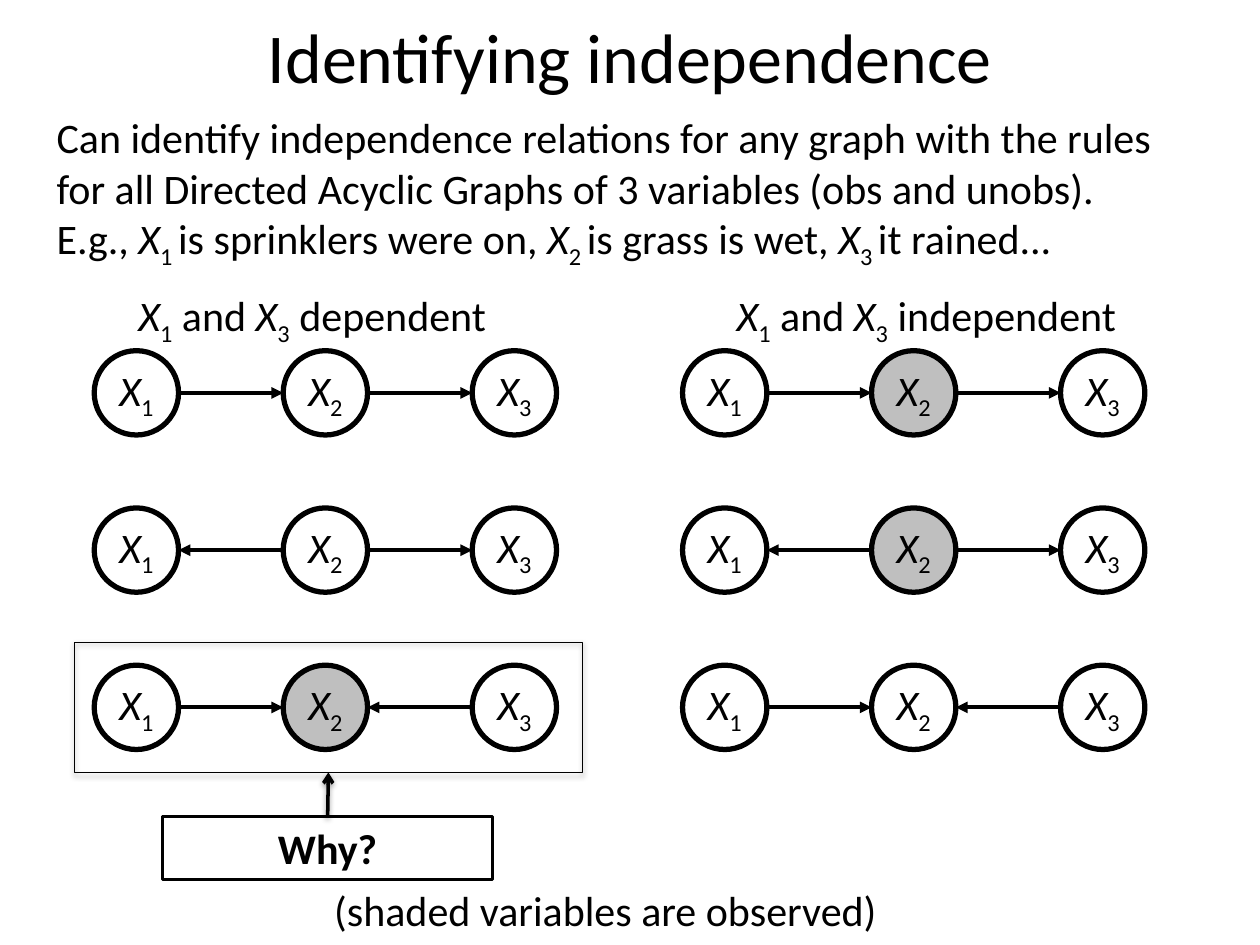
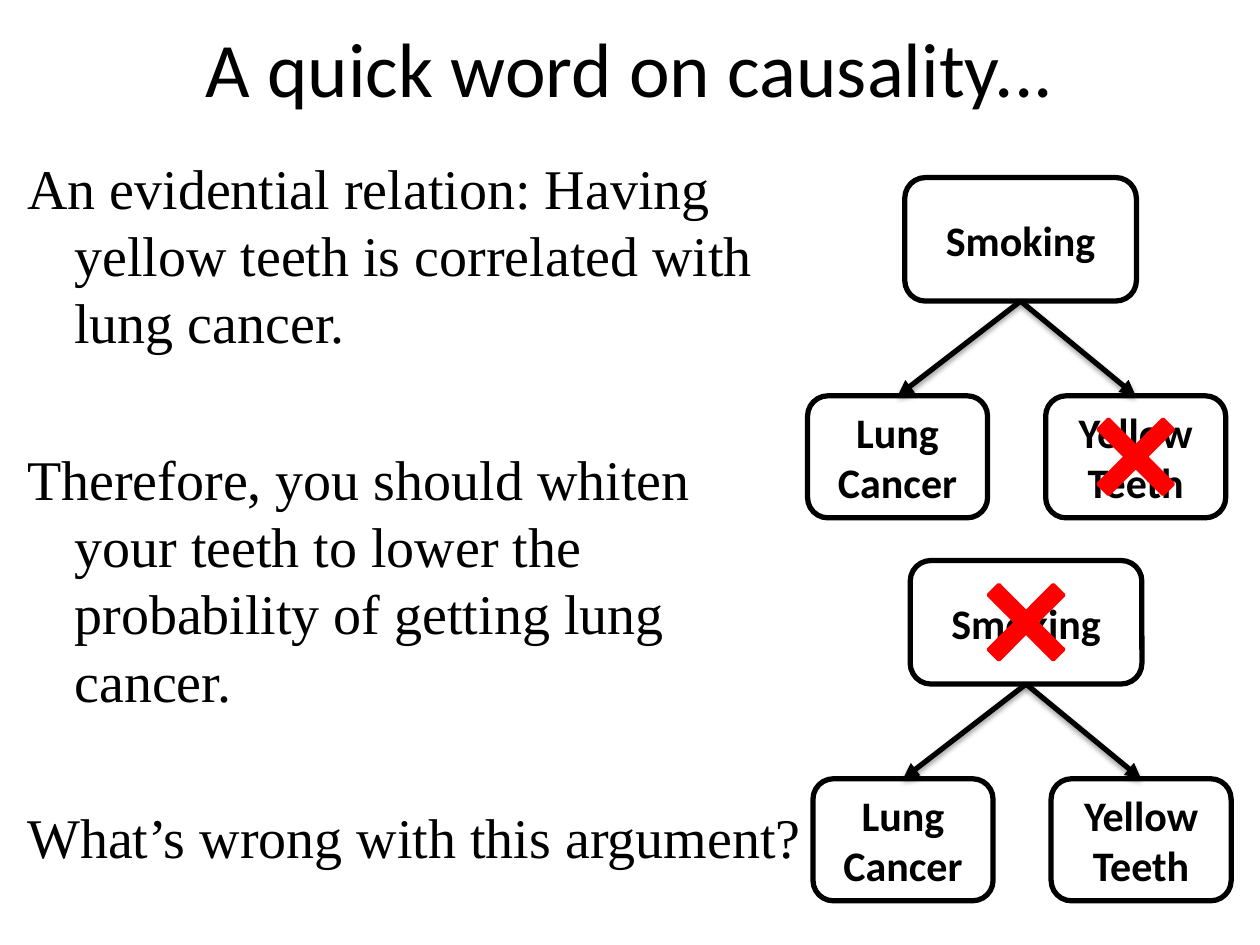
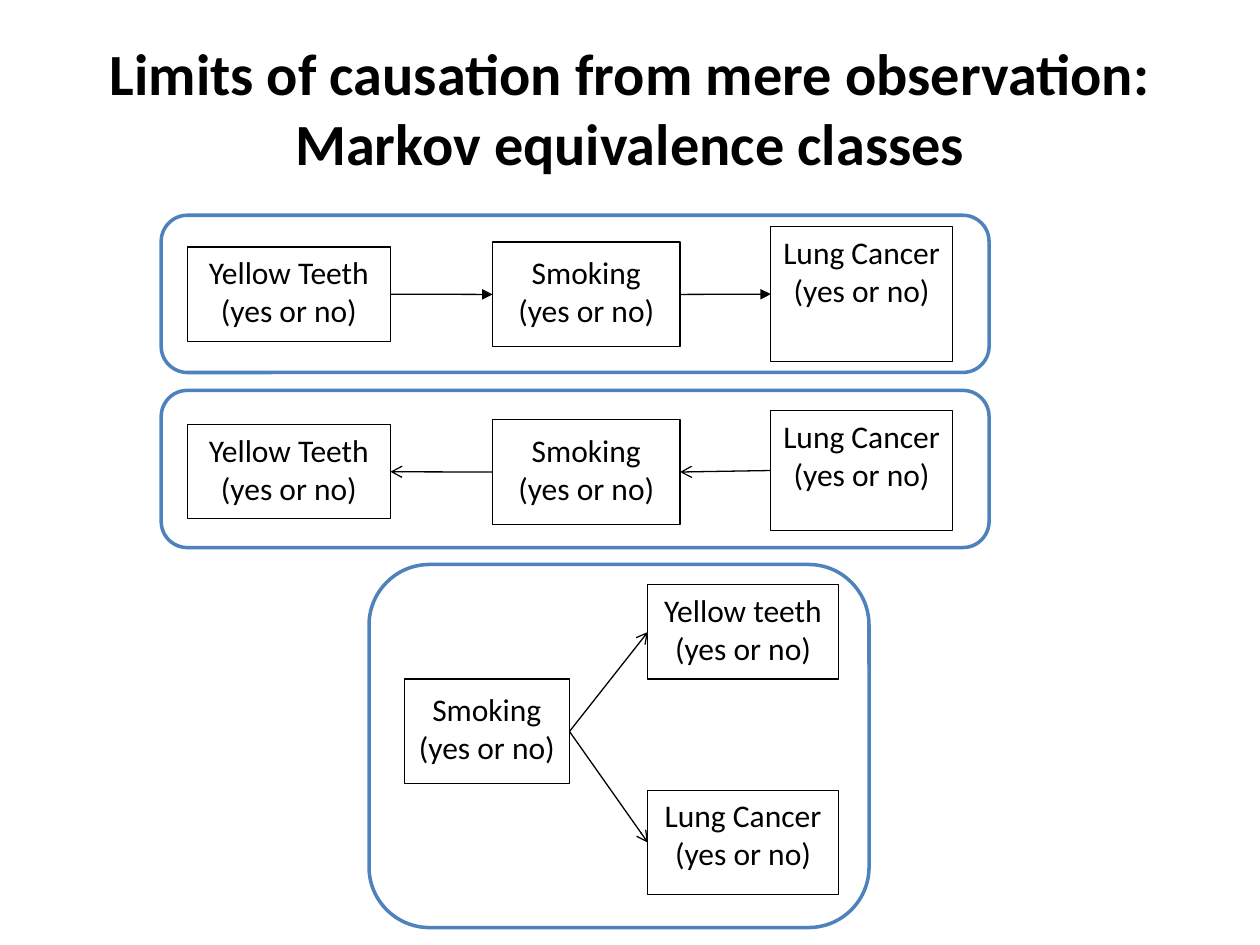
from itertools import cycle

from lxml import etree
from pptx import Presentation
from pptx import util as u
from pptx.dml.color import RGBColor
from pptx.enum import shapes, text
from pptx.oxml.ns import qn

BLACK = RGBColor(0x00, 0x00, 0x00)
WHITE = RGBColor(0xFF, 0xFF, 0xFF)
GREY = RGBColor(0xBF, 0xBF, 0xBF)
RED = RGBColor(0xFF, 0x00, 0x00)
BLUE = RGBColor(0x4F, 0x81, 0xBD)
SANS, SERIF = "Calibri", "Times New Roman"
CENTER, LEFT = text.PP_ALIGN.CENTER, text.PP_ALIGN.LEFT
TOP, MIDDLE = text.MSO_ANCHOR.TOP, text.MSO_ANCHOR.MIDDLE
KIND = shapes.MSO_SHAPE
TOP_SIDE, LEFT_SIDE, BOTTOM_SIDE, RIGHT_SIDE = range(4)

# Bars separate plain, italic and subscript pieces in turn.
INTRO = [
    "Can identify independence relations for any graph with the rules "
    "for all Directed Acyclic Graphs of 3 variables (obs and unobs).",
    "E.g., |X|1 |is sprinklers were on, |X|2 |is grass is wet, |X|3 |it rained...",
]
GRAPH_COLUMNS = [
    {"left": 1.9, "label": "|X|1| and |X|3| dependent", "label_left": 2.54, "observed": [2]},
    {"left": 13.76, "label": "|X|1| and |X|3| independent", "label_left": 14.6, "observed": [0, 1]},
]
GRAPH_ROWS = [
    [(0, 1), (1, 2)],
    [(1, 0), (1, 2)],
    [(0, 1), (2, 1)],
]
GRAPH_TOP, NODE_SIZE, NODE_PITCH, ROW_PITCH = 7.07, 1.7, 3.81, 3.17

ARGUMENT = [
    "An evidential relation: Having yellow teeth is correlated with lung cancer.",
    "Therefore, you should whiten your teeth to lower the probability of getting lung cancer.",
    "What’s wrong with this argument?",
]
CAUSE_TREE = {
    "Smoking": (18.24, 3.58, 4.67, 2.49),
    "Lung Cancer": (16.28, 7.98, 3.63, 2.46),
    "Yellow Teeth": (21.08, 7.98, 3.63, 2.46),
}
CROSSED_TREES = [("Yellow Teeth", 0, 0), ("Smoking", 0.11, 7.72)]
CROSS_SIZE = 1.85

CLASSES = [
    {
        "frame": (3.25, 4.34, 16.69, 3.17),
        "boxes": {
            "Yellow Teeth": (3.78, 4.98, 4.09, 1.9),
            "Smoking": (9.93, 4.88, 3.78, 2.11),
            "Lung Cancer": (15.54, 4.57, 3.66, 2.72),
        },
        "arrows": [("Yellow Teeth", "Smoking"), ("Smoking", "Lung Cancer")],
        "head": "triangle",
    },
    {
        "frame": (3.25, 7.87, 16.69, 3.17),
        "boxes": {
            "Yellow Teeth": (3.78, 8.56, 4.09, 1.9),
            "Smoking": (9.93, 8.46, 3.78, 2.11),
            "Lung Cancer": (15.54, 8.28, 3.66, 2.41),
        },
        "arrows": [("Lung Cancer", "Smoking"), ("Smoking", "Yellow Teeth")],
        "head": "arrow",
    },
    {
        "frame": (7.44, 11.38, 10.08, 7.32),
        "boxes": {
            "Yellow teeth": (13.06, 11.79, 3.84, 1.9),
            "Smoking": (8.15, 13.69, 3.33, 2.11),
            "Lung Cancer": (13.06, 15.93, 3.84, 2.11),
        },
        "arrows": [("Smoking", "Yellow teeth"), ("Smoking", "Lung Cancer")],
        "head": "arrow",
    },
]


def lengths(values):
    return [u.Cm(value) for value in values]


def write(shape, lines, size, bold=False, name=SANS, align=CENTER, anchor=TOP, wrap=True):
    frame = shape.text_frame
    frame.word_wrap = wrap
    frame.vertical_anchor = anchor
    for index, line in enumerate(lines):
        paragraph = frame.paragraphs[0] if index == 0 else frame.add_paragraph()
        paragraph.alignment = align
        font = paragraph.font
        font.name, font.size, font.bold = name, u.Pt(size), bold
        font.color.rgb = BLACK
        for piece, style in zip(line.split("|"), cycle(["plain", "italic", "subscript"])):
            if piece:
                run = paragraph.add_run()
                run.text = piece
                if style == "italic":
                    run.font.italic = True
                elif style == "subscript":
                    run._r.get_or_add_rPr().set("baseline", "-25000")
    return frame


def add_text(slide, box, lines, size, **style):
    return write(slide.shapes.add_textbox(*lengths(box)), lines, size, **style)


def add_title(slide, box, lines, size, bold=False):
    add_text(slide, box, lines, size, bold=bold, anchor=MIDDLE)


def add_shape(slide, kind, box, fill=WHITE, line=BLACK, width=0.75):
    shape = slide.shapes.add_shape(kind, *lengths(box))
    shape.shadow.inherit = False
    if fill is None:
        shape.fill.background()
    else:
        shape.fill.solid()
        shape.fill.fore_color.rgb = fill
    shape.line.color.rgb = line
    shape.line.width = u.Pt(width)
    return shape


def add_shadow(effects, opacity):
    shadow = etree.SubElement(effects, qn("a:outerShdw"), blurRad="40000", dist="20000",
                              dir="5400000", rotWithShape="0")
    color = etree.SubElement(shadow, qn("a:srgbClr"), val=str(BLACK))
    etree.SubElement(color, qn("a:alpha"), val=str(opacity * 1000))


def add_arrow(slide, width, head="triangle", points=(0, 0, 0, 0), join=None, shadow=False):
    arrow = slide.shapes.add_connector(shapes.MSO_CONNECTOR.STRAIGHT, *lengths(points))
    if join:
        start, start_side, end, end_side = join
        arrow.begin_connect(start, start_side)
        arrow.end_connect(end, end_side)
    arrow.line.color.rgb = BLACK
    arrow.line.width = u.Pt(width)
    etree.SubElement(arrow.line._get_or_add_ln(), qn("a:tailEnd"), type=head)
    effects = etree.SubElement(arrow._element.spPr, qn("a:effectLst"))
    if shadow:
        add_shadow(effects, 38)


def add_graph(slide, left, top, edges, observed):
    lefts = [left + index * NODE_PITCH for index in range(3)]
    for index, node_left in enumerate(lefts):
        fill = GREY if observed and index == 1 else WHITE
        node = add_shape(slide, KIND.OVAL, (node_left, top, NODE_SIZE, NODE_SIZE), fill, width=3)
        write(node, [f"|X|{index + 1}"], 24, anchor=MIDDLE, wrap=False)
    middle = top + NODE_SIZE / 2
    for start, end in edges:
        start_x = lefts[start] + (NODE_SIZE if start < end else 0)
        end_x = lefts[end] + (NODE_SIZE if start > end else 0)
        add_arrow(slide, 2.25, points=(start_x, middle, end_x, middle))


def build_independence(slide):
    add_title(slide, (0, 0.1, 25.4, 2.03), ["Identifying independence"], 40)
    add_text(slide, (0.89, 2.13, 22.81, 3.33), INTRO, 24, align=LEFT)
    for column in GRAPH_COLUMNS:
        add_text(slide, (column["label_left"], 5.72, 8.38, 1.27), [column["label"]], 24,
                 align=LEFT, wrap=False)
        for row, edges in enumerate(GRAPH_ROWS):
            add_graph(slide, column["left"], GRAPH_TOP + row * ROW_PITCH, edges,
                      row in column["observed"])
    frame = add_shape(slide, KIND.RECTANGLE, (1.5, 12.95, 10.24, 2.62), None)
    add_shadow(frame._element.spPr.find(qn("a:effectLst")), 35)
    question = add_shape(slide, KIND.RECTANGLE, (3.28, 16.46, 6.65, 1.27), width=2)
    write(question, ["Why?"], 24, bold=True)
    add_arrow(slide, 2, "arrow", join=(question, TOP_SIDE, frame, BOTTOM_SIDE), shadow=True)
    add_text(slide, (2.82, 17.7, 18.77, 1.27), ["(shaded variables are observed)"], 24)


def build_causality(slide):
    add_title(slide, (1.27, 0.1, 22.86, 2.51), ["A quick word on causality..."], 44)
    argument = add_text(slide, (0.3, 2.97, 16.2, 14.91), ARGUMENT, 32, name=SERIF, align=LEFT)
    for index, paragraph in enumerate(argument.paragraphs):
        properties = paragraph._p.get_or_add_pPr()
        properties.set("marL", str(u.Cm(0.95)))
        properties.set("indent", str(u.Cm(-0.95)))
        paragraph.line_spacing = u.Pt(38.4)
        if index:
            paragraph.space_before = u.Pt(51)
    for crossed, shift_x, shift_y in CROSSED_TREES:
        nodes = {}
        for label, (left, top, width, height) in CAUSE_TREE.items():
            box = (left + shift_x, top + shift_y, width, height)
            nodes[label] = add_shape(slide, KIND.ROUNDED_RECTANGLE, box, width=3)
            write(nodes[label], [label], 24, bold=True, anchor=MIDDLE)
        for effect in ("Lung Cancer", "Yellow Teeth"):
            add_arrow(slide, 3, join=(nodes["Smoking"], BOTTOM_SIDE, nodes[effect], TOP_SIDE),
                      shadow=True)
        left, top, width, height = CAUSE_TREE[crossed]
        cross = add_shape(slide, KIND.CROSS, (left + shift_x + (width - CROSS_SIZE) / 2,
                                              top + shift_y + (height - CROSS_SIZE) / 2,
                                              CROSS_SIZE, CROSS_SIZE), RED, RED, 2)
        cross.adjustments[0] = 0.42
        cross.rotation = 45


def build_equivalence(slide):
    add_title(slide, (1.91, 0.41, 21.59, 3.51),
              ["Limits of causation from mere observation:", "Markov equivalence classes"],
              33.3, bold=True)
    for group in CLASSES:
        add_shape(slide, KIND.ROUNDED_RECTANGLE, group["frame"], None, BLUE, 2)
        boxes = {}
        for label, box in group["boxes"].items():
            boxes[label] = add_shape(slide, KIND.RECTANGLE, box)
            frame = write(boxes[label], [label, "(yes or no)"], 18)
            if label == "Smoking":
                frame.margin_top = u.Cm(0.23)
        for start, end in group["arrows"]:
            forward = boxes[start].left < boxes[end].left
            sides = (RIGHT_SIDE, LEFT_SIDE) if forward else (LEFT_SIDE, RIGHT_SIDE)
            add_arrow(slide, 0.75, group["head"],
                      join=(boxes[start], sides[0], boxes[end], sides[1]))


def main():
    presentation = Presentation()
    presentation.slide_width, presentation.slide_height = lengths((25.4, 19.05))
    for build in (build_independence, build_causality, build_equivalence):
        build(presentation.slides.add_slide(presentation.slide_layouts[6]))
    presentation.save("out.pptx")


if __name__ == "__main__":
    main()
